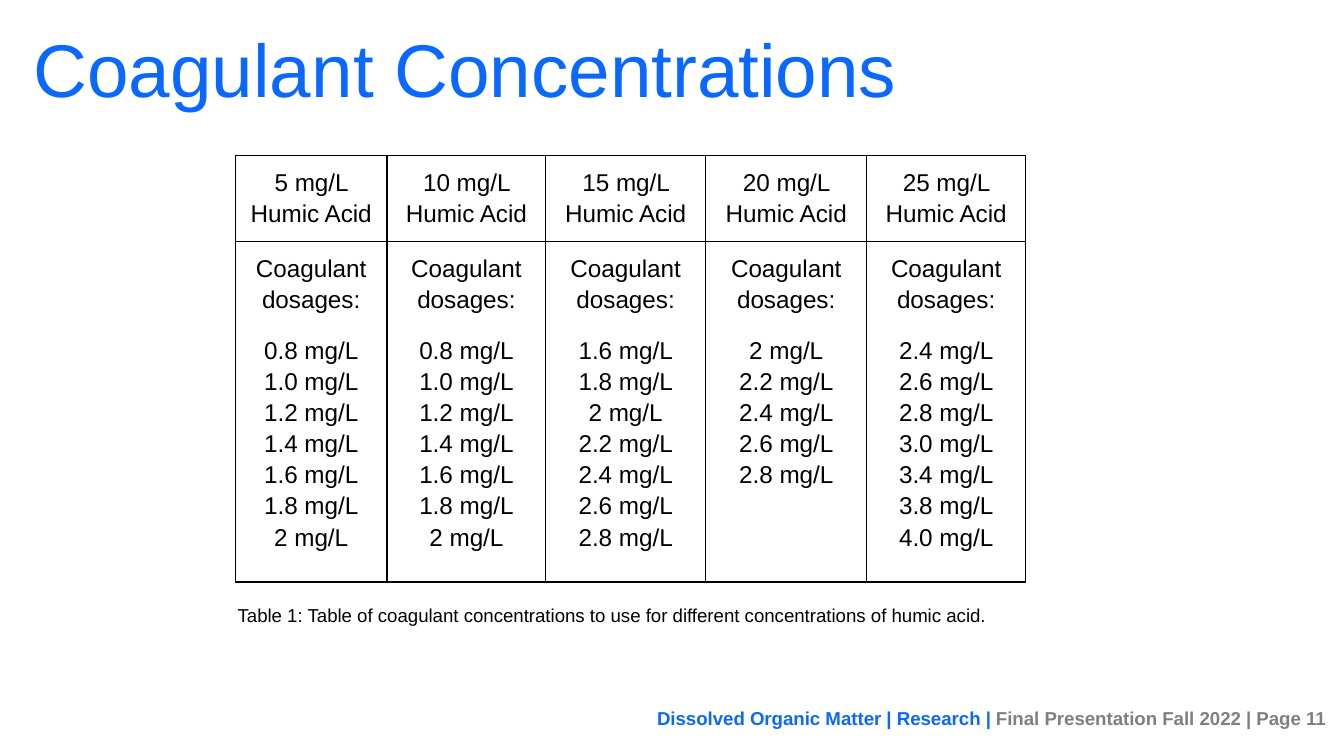
"""Build the Coagulant Concentrations slide with its dosage table."""
from dataclasses import dataclass

from lxml import etree
from pptx import Presentation
from pptx.dml.color import RGBColor
from pptx.enum.text import MSO_ANCHOR, PP_ALIGN
from pptx.oxml.ns import qn
from pptx.util import Inches, Pt

CENTER, LEFT, RIGHT = PP_ALIGN.CENTER, PP_ALIGN.LEFT, PP_ALIGN.RIGHT
TOP, BOTTOM = MSO_ANCHOR.TOP, MSO_ANCHOR.BOTTOM


@dataclass(frozen=True)
class Theme:
    font: str = "Arial"
    blue: str = "0B68FF"
    gray: str = "7F7F7F"
    black: str = "000000"
    title: float = 40
    body: float = 13
    small: float = 10
    border: float = 0.75


T = Theme()


def add_run(p, text, size, color, bold=False):
    r = p.add_run()
    r.text = text
    r.font.name = T.font
    r.font.size = Pt(size)
    r.font.bold = bold
    r.font.color.rgb = RGBColor.from_string(color)


def style_cell(cell):
    cell.fill.background()
    cell.vertical_anchor = TOP
    cell.margin_left = cell.margin_right = Inches(0.07)
    cell.margin_top = cell.margin_bottom = Inches(0.07)
    tc_pr = cell._tc.get_or_add_tcPr()
    for i, side in enumerate(("a:lnL", "a:lnR", "a:lnT", "a:lnB")):
        ln = etree.Element(qn(side), w=str(Pt(T.border)))
        fill = etree.SubElement(ln, qn("a:solidFill"))
        etree.SubElement(fill, qn("a:srgbClr"), val=T.black)
        tc_pr.insert(i, ln)


prs = Presentation()
prs.slide_width = Inches(10)
prs.slide_height = Inches(10 * 9 / 16)
s = prs.slides.add_slide(prs.slide_layouts[6])

caption = "Table 1: Table of coagulant concentrations to use for different concentrations of humic acid."
text_boxes = [
    ((0.12, 0.29, 6.9, 0.68), (0.13, 0.13), BOTTOM, LEFT,
     [("Coagulant Concentrations", T.title, T.blue)]),
    ((1.67, 4.41, 6, 0.37), (0.1, 0.1), TOP, LEFT,
     [(caption, T.small, T.black)]),
    ((4.22, 5.21, 5.78, 0.42), (0.1, 0.05), TOP, RIGHT,
     [("Dissolved Organic Matter | Research | ", T.small, T.blue, True),
      ("Final Presentation Fall 2022 | Page 11 ", T.small, T.gray, True)]),
]
for box, (inset_x, inset_y), anchor, align, runs in text_boxes:
    tf = s.shapes.add_textbox(*map(Inches, box)).text_frame
    tf.word_wrap = True
    tf.vertical_anchor = anchor
    tf.margin_left = tf.margin_right = Inches(inset_x)
    tf.margin_top = tf.margin_bottom = Inches(inset_y)
    p = tf.paragraphs[0]
    p.alignment = align
    for run in runs:
        add_run(p, *run)

dosages = {
    "5": ["0.8", "1.0", "1.2", "1.4", "1.6", "1.8", "2"],
    "10": ["0.8", "1.0", "1.2", "1.4", "1.6", "1.8", "2"],
    "15": ["1.6", "1.8", "2", "2.2", "2.4", "2.6", "2.8"],
    "20": ["2", "2.2", "2.4", "2.6", "2.8"],
    "25": ["2.4", "2.6", "2.8", "3.0", "3.4", "3.8", "4.0"],
}
col_widths = [1.13, 1.18, 1.19, 1.2, 1.18]
row_heights = [0.64, 2.53]
table = s.shapes.add_table(
    len(row_heights), len(col_widths), Inches(1.75), Inches(1.16),
    Inches(sum(col_widths)), Inches(sum(row_heights))).table
table.first_row = table.horz_banding = False
for row, height in zip(table.rows, row_heights):
    row.height = Inches(height)

for c, (acid, doses) in enumerate(dosages.items()):
    table.columns[c].width = Inches(col_widths[c])
    column_text = [
        [f"{acid} mg/L Humic Acid"],
        ["Coagulant dosages:"] + [f"{dose} mg/L" for dose in doses],
    ]
    for r, lines in enumerate(column_text):
        cell = table.cell(r, c)
        style_cell(cell)
        tf = cell.text_frame
        for i, line in enumerate(lines):
            p = tf.add_paragraph() if i else tf.paragraphs[0]
            p.alignment = CENTER
            p.line_spacing = 1.15
            if i == 1:
                p.space_before = Pt(10.7)
            add_run(p, line, T.body, T.black)

prs.save("out.pptx")
